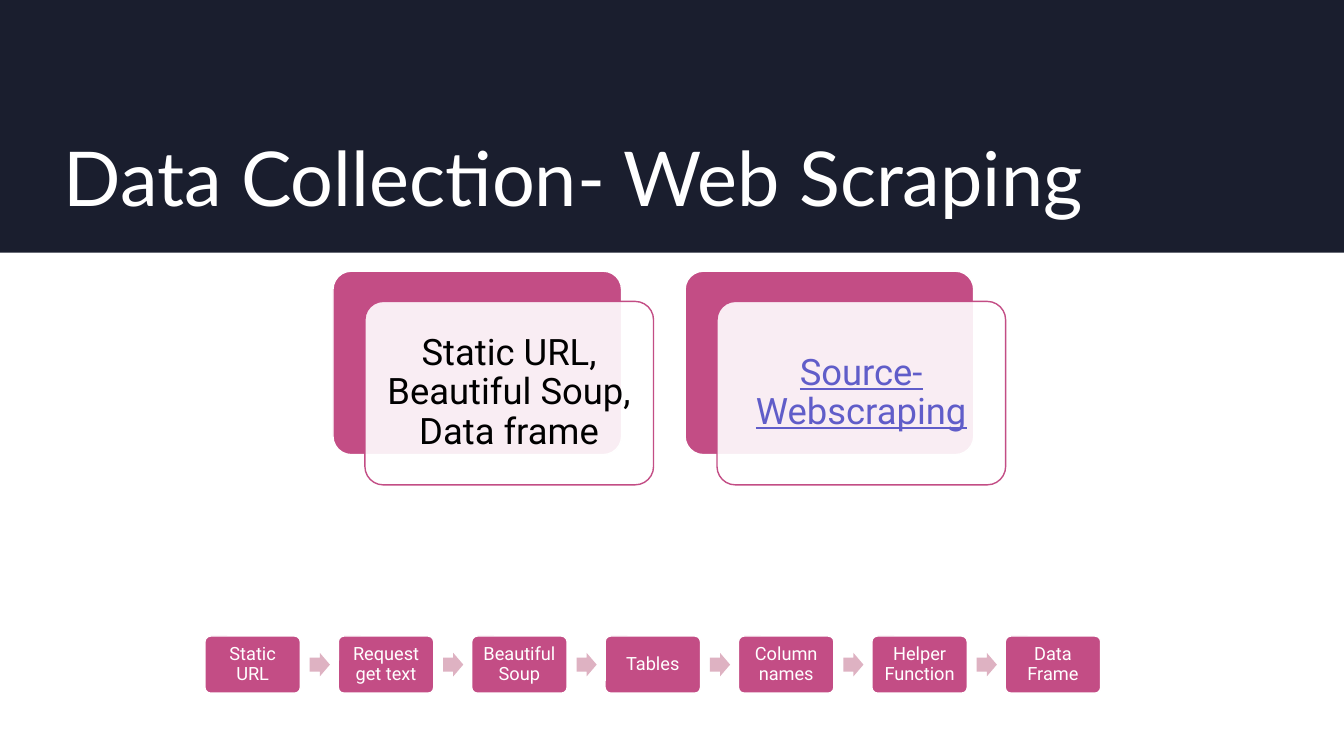
from lxml.etree import SubElement
from pptx import Presentation
from pptx.dml.color import RGBColor
from pptx.enum.shapes import MSO_SHAPE as Shape
from pptx.enum.text import MSO_ANCHOR as Anchor, PP_ALIGN as Align
from pptx.oxml.ns import qn
from pptx.util import Inches, Pt

COLS, ROWS = 40, 22.5
NAVY, PINK, PALE_PINK = "1A1E2E", "C34D85", "DEB2C2"
WHITE, BLACK, LINK = "FFFFFF", "000000", "605DC9"


def rgb(value):
    return RGBColor.from_string(value)


class Deck:
    """Places styled elements on a grid of COLS by ROWS."""

    heading_font, body_font = "Lato", "Roboto"

    def __init__(self):
        self.prs = Presentation()
        self.prs.slide_width, self.prs.slide_height = Inches(13.333), Inches(7.5)
        self.s = self.prs.slides.add_slide(self.prs.slide_layouts[6])

    def box(self, x, y, w, h):
        col, row = self.prs.slide_width / COLS, self.prs.slide_height / ROWS
        return [round(n) for n in (x * col, y * row, w * col, h * row)]

    def shape(self, kind, x, y, w, h, fill, line=None, adj=(), opacity=None):
        sp = self.s.shapes.add_shape(kind, *self.box(x, y, w, h))
        sp.shadow.inherit = False
        for i, value in enumerate(adj):
            sp.adjustments[i] = value
        sp.fill.solid()
        sp.fill.fore_color.rgb = rgb(fill)
        if opacity:
            color = sp.fill._xPr.find(qn("a:solidFill"))[0]
            SubElement(color, qn("a:alpha"), val=str(opacity * 1000))
        if line:
            sp.line.color.rgb = rgb(line)
            sp.line.width = Pt(1)
        else:
            sp.line.fill.background()
        return sp

    def rounded(self, x, y, w, h, fill, line, opacity=None):
        return self.shape(Shape.ROUNDED_RECTANGLE, x, y, w, h, fill, line, [0.1], opacity)

    def run(self, p, text, size, color, font, underline=None):
        r = p.add_run()
        r.text = text
        r.font.size, r.font.name = Pt(size), font
        r.font.color.rgb = rgb(color)
        r.font.underline = underline

    def title(self, text, x, y, w, h):
        tf = self.s.shapes.add_textbox(*self.box(x, y, w, h)).text_frame
        tf.word_wrap = True
        tf.vertical_anchor = Anchor.BOTTOM
        self.run(tf.paragraphs[0], text, 54, WHITE, self.heading_font)

    def label(self, sp, text, size, color, inset, underline=None):
        tf = sp.text_frame
        tf.word_wrap = True
        tf.vertical_anchor = Anchor.MIDDLE
        tf.margin_left = tf.margin_right = Inches(inset)
        tf.margin_top = tf.margin_bottom = Inches(inset)
        p = tf.paragraphs[0]
        p.alignment, p.line_spacing = Align.CENTER, 0.9
        self.run(p, text, size, color, self.body_font, underline)

    def card(self, x, y, text, color, underline=None):
        w, h = 8.59, 5.46
        self.rounded(x, y, w, h, PINK, WHITE)
        front = self.rounded(x + 0.95, y + 0.9, w, h, WHITE, PINK, opacity=90)
        self.label(front, text, 26, color, 0.11, underline)

    def step(self, x, y, text):
        sp = self.rounded(x, y, 2.84, 1.7, PINK, WHITE)
        self.label(sp, text, 13, WHITE, 0.05)

    def arrow(self, x, y):
        self.shape(Shape.RIGHT_ARROW, x, y, 0.6, 0.7, PALE_PINK, adj=[0.6, 0.5])


def main():
    deck = Deck()

    # Title band
    deck.shape(Shape.RECTANGLE, 0, 0, COLS, 7.52, NAVY)
    deck.title("Data Collection- Web Scraping", 1.6, 1.2, 35.67, 5.55)

    # Layered cards
    cards = [("Static URL, Beautiful Soup, Data frame", BLACK, None),
             ("Source-Webscraping", LINK, True)]
    for i, (text, color, underline) in enumerate(cards):
        deck.card(9.91 + i * 10.48, 8.07, text, color, underline)

    # Process steps, with an arrow before each step but the first
    steps = ["Static URL", "Request get text", "Beautiful Soup", "Tables",
             "Column names", "Helper Function", "Data Frame"]
    for i, text in enumerate(steps):
        x = 6.1 + i * 3.97
        if i:
            deck.arrow(x - 0.85, 19.43)
        deck.step(x, 18.93, text)

    deck.prs.save("out.pptx")


if __name__ == "__main__":
    main()
